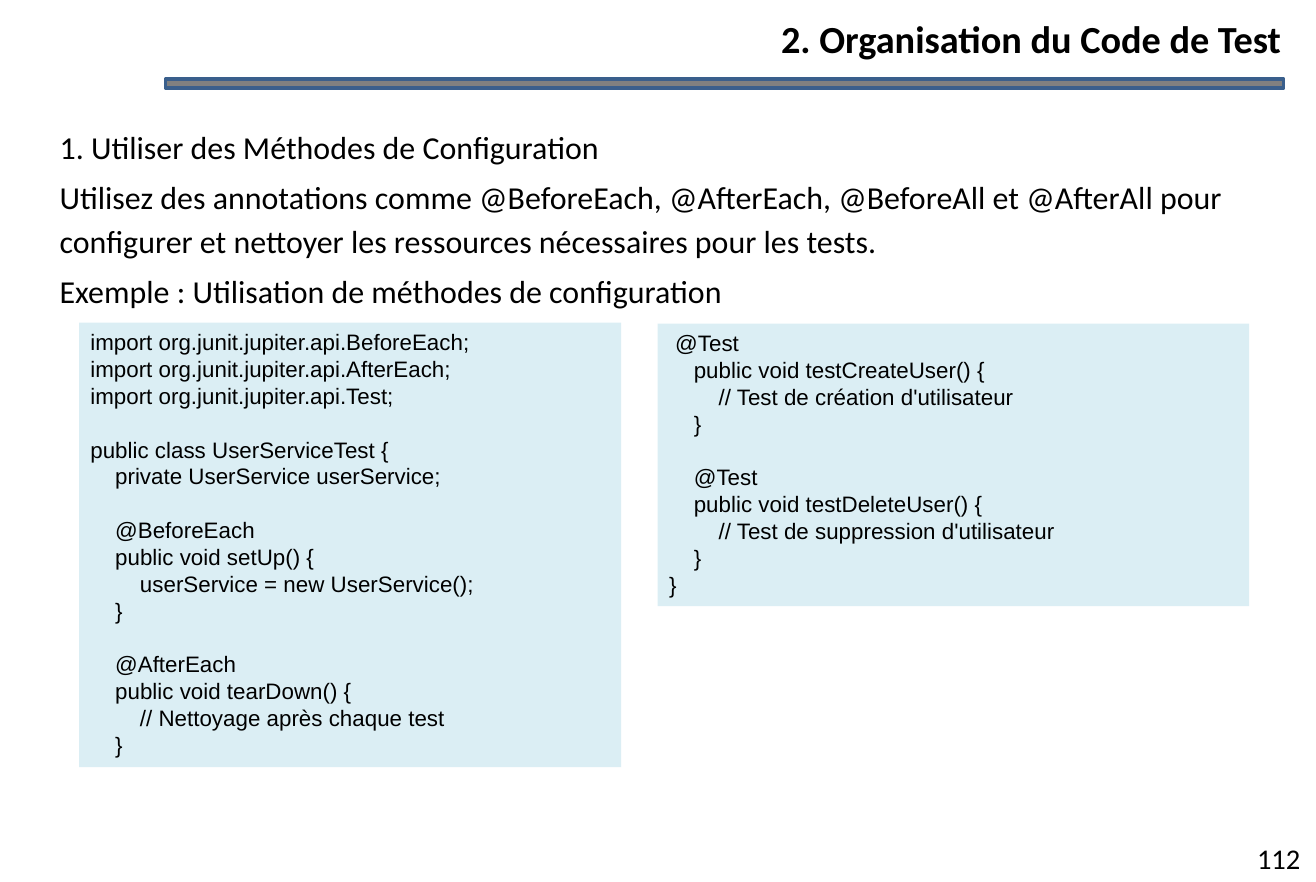
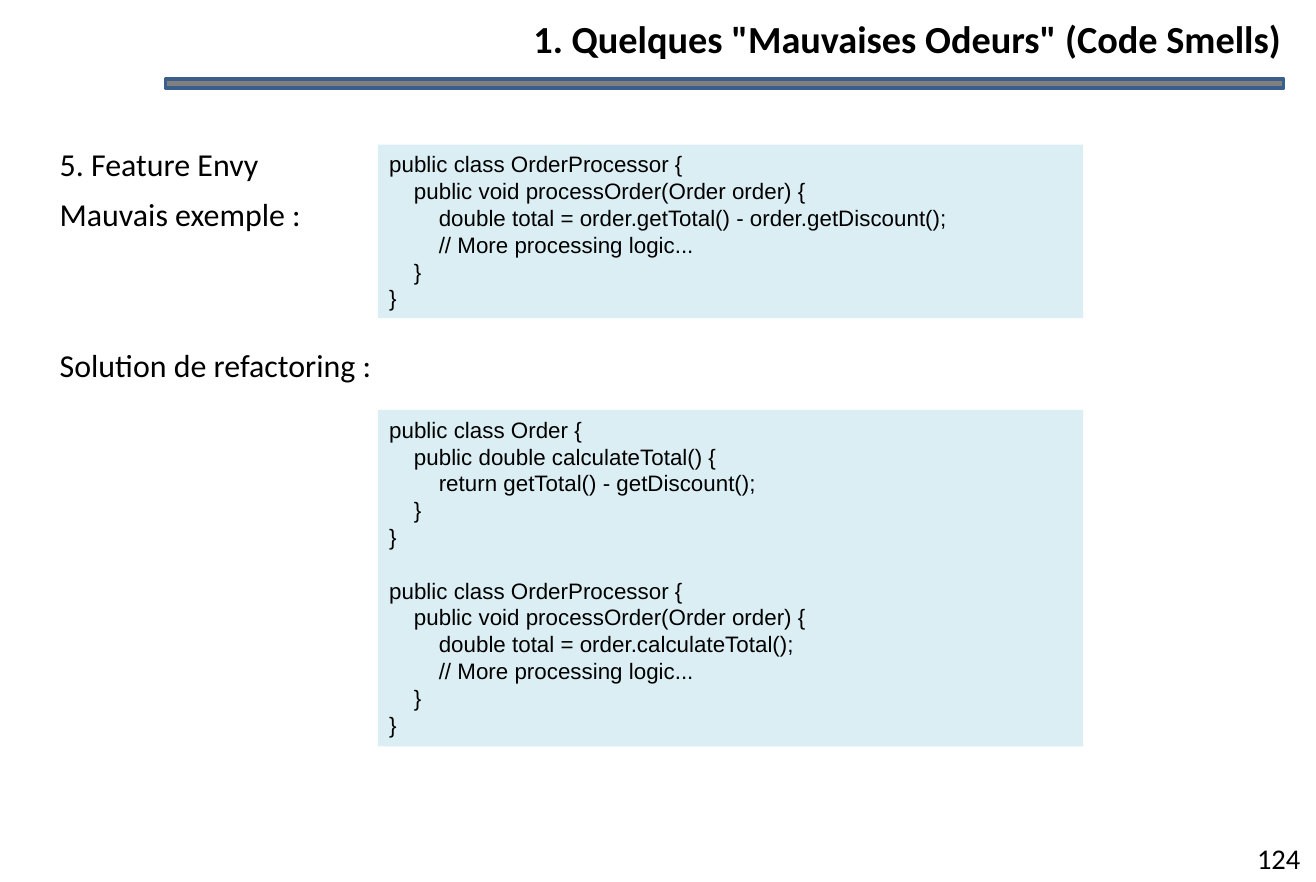
"""Build two course slides about unit tests and code smells."""
from dataclasses import dataclass

import pptx
import pptx.dml.color
import pptx.enum.shapes
import pptx.enum.text
import pptx.util

Cm = pptx.util.Cm
Pt = pptx.util.Pt
Align = pptx.enum.text.PP_ALIGN

COLORS = {"text": "000000", "band": "808080", "band_edge": "3A5F8C", "code": "DBEEF4"}
BODY_GAP = 3.6
CODE_PITCH = 16.8
INSET_X, INSET_Y = 0.25, 0.13
BODY_INDENT = 0.51


@dataclass(frozen=True)
class Area:
    left: float
    top: float
    width: float
    height: float

    def lengths(self) -> list[int]:
        return [Cm(value) for value in (self.left, self.top, self.width, self.height)]


@dataclass(frozen=True)
class Line:
    text: str
    gap: float = BODY_GAP


@dataclass(frozen=True)
class TextStyle:
    font: str
    size: float
    bold: bool = False
    align: Align = Align.LEFT
    spacing: float | int = 1.0


@dataclass(frozen=True)
class CodePanel:
    area: Area
    code: str


@dataclass(frozen=True)
class Page:
    title: str
    number: int
    body_area: Area
    body: tuple[Line, ...]
    panels: tuple[CodePanel, ...]


BAND = Area(3.66, 1.75, 24.74, 0.2)
TITLE = Area(4.95, 0.33, 23.39, 1.02)
NUMBER = Area(27.46, 18.47, 1.65, 1.04)

TITLE_STYLE = TextStyle("Calibri", 24, bold=True, align=Align.RIGHT)
NUMBER_STYLE = TextStyle("Calibri", 17.9, align=Align.CENTER)
BODY_STYLE = TextStyle("Calibri", 20, spacing=1.15)
CODE_STYLE = TextStyle("Arial", 14, spacing=Pt(CODE_PITCH))

SETUP_CODE = """\
import org.junit.jupiter.api.BeforeEach;
import org.junit.jupiter.api.AfterEach;
import org.junit.jupiter.api.Test;

public class UserServiceTest {
    private UserService userService;

    @BeforeEach
    public void setUp() {
        userService = new UserService();
    }

    @AfterEach
    public void tearDown() {
        // Nettoyage après chaque test
    }"""

TESTS_CODE = """\
 @Test
    public void testCreateUser() {
        // Test de création d'utilisateur
    }

    @Test
    public void testDeleteUser() {
        // Test de suppression d'utilisateur
    }
}"""

ENVY_CODE = """\
public class OrderProcessor {
    public void processOrder(Order order) {
        double total = order.getTotal() - order.getDiscount();
        // More processing logic...
    }
}"""

REFACTORED_CODE = """\
public class Order {
    public double calculateTotal() {
        return getTotal() - getDiscount();
    }
}

public class OrderProcessor {
    public void processOrder(Order order) {
        double total = order.calculateTotal();
        // More processing logic...
    }
}"""

PAGES = (
    Page(
        "2. Organisation du Code de Test",
        112,
        Area(0.56, 2.57, 27.99, 4.45),
        (
            Line("1. Utiliser des Méthodes de Configuration"),
            Line(
                "Utilisez des annotations comme @BeforeEach, @AfterEach, @BeforeAll et "
                "@AfterAll pour configurer et nettoyer les ressources nécessaires pour les tests."
            ),
            Line("Exemple : Utilisation de méthodes de configuration"),
        ),
        (
            CodePanel(Area(1.75, 7.14, 11.99, 9.83), SETUP_CODE),
            CodePanel(Area(14.55, 7.16, 13.08, 6.25), TESTS_CODE),
        ),
    ),
    Page(
        '1. Quelques "Mauvaises Odeurs" (Code Smells)',
        124,
        Area(0.56, 2.95, 27.99, 5.79),
        (
            Line("5. Feature Envy"),
            Line("Mauvais exemple :"),
            Line("Solution de refactoring :", 66.9),
        ),
        (
            CodePanel(Area(8.36, 3.2, 15.6, 3.84), ENVY_CODE),
            CodePanel(Area(8.36, 9.07, 15.6, 7.44), REFACTORED_CODE),
        ),
    ),
)


def rgb(name: str) -> pptx.dml.color.RGBColor:
    return pptx.dml.color.RGBColor.from_string(COLORS[name])


def code_lines(code: str) -> list[Line]:
    lines, gap = [], 0.0
    for text in code.split("\n"):
        if text:
            lines.append(Line(text, gap))
            gap = 0.0
        else:
            gap += CODE_PITCH
    return lines


def write(box, lines, style: TextStyle, inset_x: float = INSET_X,
          inset_y: float = INSET_Y, indent: float = 0.0) -> None:
    frame = box.text_frame
    frame.word_wrap = True
    frame.auto_size = pptx.enum.text.MSO_AUTO_SIZE.NONE
    frame.vertical_anchor = pptx.enum.text.MSO_ANCHOR.TOP
    frame.margin_left, frame.margin_right = Cm(inset_x + indent), Cm(inset_x)
    frame.margin_top = frame.margin_bottom = Cm(inset_y)
    frame.text = "\n".join(line.text for line in lines)
    for index, (para, line) in enumerate(zip(frame.paragraphs, lines)):
        para.alignment = style.align
        para.line_spacing = style.spacing
        para.space_before = Pt(line.gap if index else 0)
        for span in para.runs:
            span.font.name = style.font
            span.font.size = Pt(style.size)
            span.font.bold = style.bold
            span.font.color.rgb = rgb("text")


def add_rectangle(slide, area: Area, color: str):
    shape = slide.shapes.add_shape(
        pptx.enum.shapes.MSO_SHAPE.RECTANGLE, *area.lengths())
    shape.shadow.inherit = False
    shape.fill.solid()
    shape.fill.fore_color.rgb = rgb(color)
    shape.line.fill.background()
    return shape


def add_frame(slide, page: Page) -> None:
    band = add_rectangle(slide, BAND, "band")
    band.line.color.rgb = rgb("band_edge")
    band.line.width = Pt(2)
    title = slide.shapes.title
    title.left, title.top, title.width, title.height = TITLE.lengths()
    write(title, [Line(page.title)], TITLE_STYLE, inset_x=0, inset_y=0)
    number = slide.shapes.add_textbox(*NUMBER.lengths())
    write(number, [Line(str(page.number))], NUMBER_STYLE)


def add_page(deck, page: Page) -> None:
    slide = deck.slides.add_slide(deck.slide_layouts.get_by_name("Title Only"))
    add_frame(slide, page)
    body = slide.shapes.add_textbox(*page.body_area.lengths())
    write(body, page.body, BODY_STYLE, indent=BODY_INDENT)
    for panel in page.panels:
        box = add_rectangle(slide, panel.area, "code")
        write(box, code_lines(panel.code), CODE_STYLE)


def main() -> None:
    deck = pptx.Presentation()
    deck.slide_width, deck.slide_height = Cm(29.11), Cm(19.51)
    for page in PAGES:
        add_page(deck, page)
    deck.save("out.pptx")


if __name__ == "__main__":
    main()
